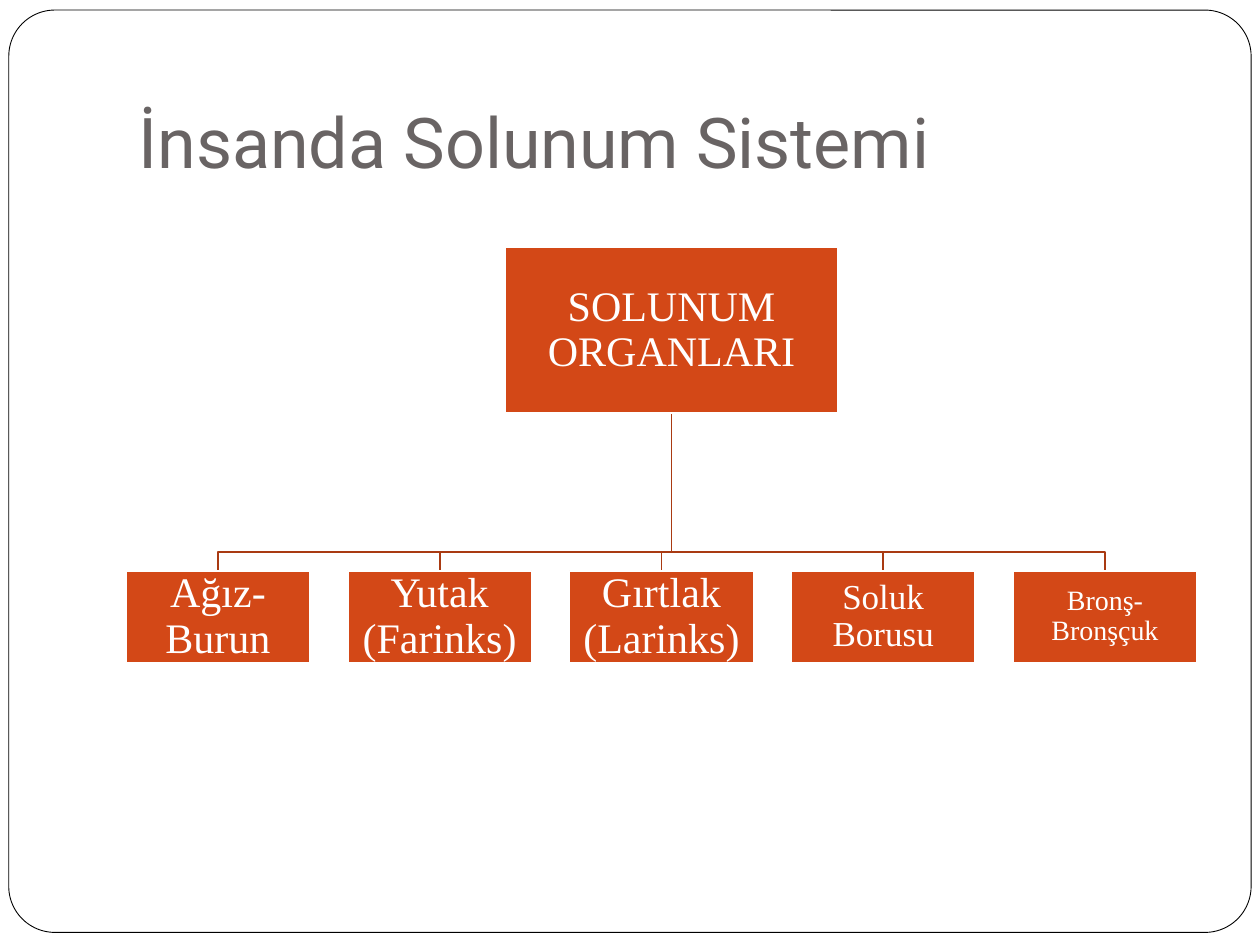
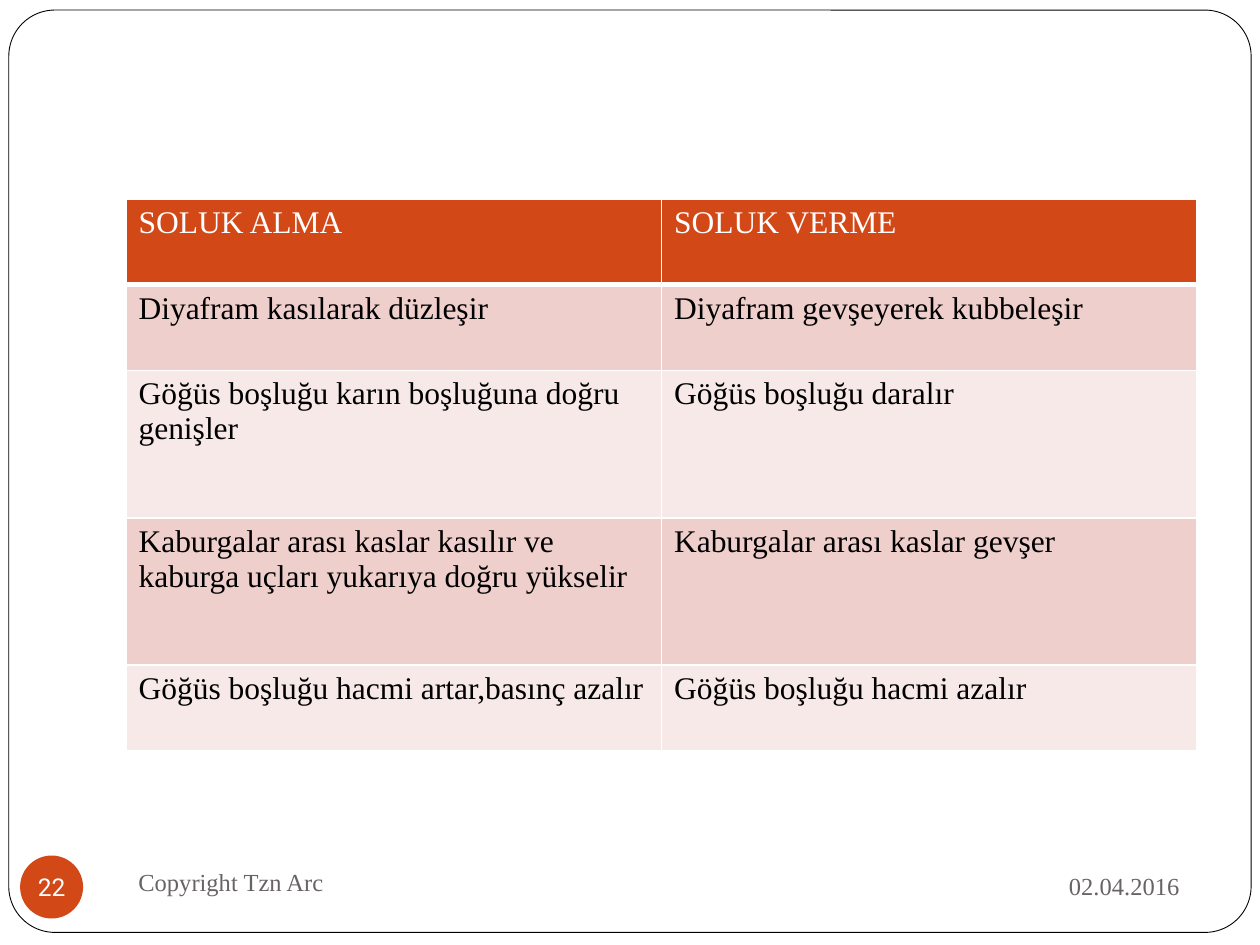
import pptx
import pptx.dml.color
import pptx.enum.shapes
import pptx.enum.text
import pptx.oxml
import pptx.oxml.ns
import pptx.util

Inches = pptx.util.Inches
Pt = pptx.util.Pt
RGBColor = pptx.dml.color.RGBColor
Shape = pptx.enum.shapes.MSO_SHAPE
Align = pptx.enum.text.PP_ALIGN
Anchor = pptx.enum.text.MSO_ANCHOR

ORANGE = RGBColor(0xD3, 0x48, 0x17)
RUST = RGBColor(0xA9, 0x3A, 0x12)
GRAY = RGBColor(0x69, 0x64, 0x64)
ROSE = RGBColor(0xEF, 0xCF, 0xCC)
PALE_ROSE = RGBColor(0xF7, 0xE9, 0xE8)
WHITE = RGBColor(0xFF, 0xFF, 0xFF)
BLACK = RGBColor(0, 0, 0)
SERIF = "Times New Roman"
SANS = "Roboto"


def write_text(frame, text, size=18, font=SERIF, color=WHITE, align=Align.LEFT,
               anchor=Anchor.MIDDLE, margins=(0.1, 0.05, 0.1, 0.05), spacing=1.0, wrap=True):
    frame.word_wrap = wrap
    frame.auto_size = pptx.enum.text.MSO_AUTO_SIZE.NONE
    frame.vertical_anchor = anchor
    frame.margin_left, frame.margin_top, frame.margin_right, frame.margin_bottom = map(Inches, margins)
    para = frame.paragraphs[0]
    para.alignment = align
    para.line_spacing = spacing
    span = para.add_run()
    span.text = text
    span.font.name = font
    span.font.size = Pt(size)
    span.font.color.rgb = color


def add_box(page, kind, left, top, width, height, fill=ORANGE, line=None, weight=1):
    box = page.shapes.add_shape(kind, Inches(left), Inches(top), Inches(width), Inches(height))
    box.shadow.inherit = False
    box.fill.solid()
    box.fill.fore_color.rgb = fill
    if line is None:
        box.line.fill.background()
    else:
        box.line.color.rgb = line
        box.line.width = Pt(weight)
    return box


deck = pptx.Presentation()
deck.slide_width = Inches(10)
deck.slide_height = Inches(7.5)
organ_page = deck.slides.add_slide(deck.slide_layouts[5])
breath_page = deck.slides.add_slide(deck.slide_layouts[6])

for page in (organ_page, breath_page):
    border = add_box(page, Shape.ROUNDED_RECTANGLE, 0.07, 0.08, 9.86, 7.32, WHITE, BLACK, 0.5)
    border.adjustments[0] = 0.05
    border.element.getparent().insert(2, border.element)

title = organ_page.shapes.title
title.left, title.top, title.width, title.height = map(Inches, (1, 0.3, 8.5, 1.25))
write_text(title.text_frame, "İnsanda Solunum Sistemi", size=40, font=SANS, color=GRAY,
           anchor=Anchor.BOTTOM, margins=(0.1, 0.05, 0.1, 0.1))

organs = [("Ağız-Burun", 24), ("Yutak (Farinks)", 24), ("Gırtlak (Larinks)", 24),
          ("Soluk Borusu", 20), ("Bronş-Bronşçuk", 16)]
organ_width, organ_height, organ_top, organ_step = 1.46, 0.73, 4.53, 1.76
root_left, root_top, root_width, root_height = 4.01, 1.96, 2.64, 1.32
root_center = root_left + root_width / 2
root_bottom = root_top + root_height
branch_top = 4.38

for index in reversed(range(len(organs))):
    organ_center = 1 + index * organ_step + organ_width / 2
    builder = organ_page.shapes.build_freeform(Inches(root_center), Inches(root_bottom))
    builder.add_line_segments(
        [(Inches(x), Inches(y)) for x, y in
         ((root_center, branch_top), (organ_center, branch_top), (organ_center, organ_top))],
        close=False)
    branch = builder.convert_to_shape()
    branch.shadow.inherit = False
    branch.fill.background()
    branch.line.color.rgb = RUST
    branch.line.width = Pt(1)

nodes = [("SOLUNUM ORGANLARI", 24, root_left, root_top, root_width, root_height)]
for index, (organ, size) in enumerate(organs):
    nodes.append((organ, size, 1 + index * organ_step, organ_top, organ_width, organ_height))
for label, size, left, top, width, height in nodes:
    node = add_box(organ_page, Shape.RECTANGLE, left, top, width, height, line=WHITE)
    inset = 0.02 if size == 24 else 0.01
    write_text(node.text_frame, label, size=size, align=Align.CENTER,
               margins=(inset,) * 4, spacing=0.9)

breath_rows = [
    ("SOLUK ALMA", "SOLUK VERME"),
    ("Diyafram kasılarak düzleşir", "Diyafram gevşeyerek kubbeleşir"),
    ("Göğüs boşluğu karın boşluğuna doğru genişler", "Göğüs boşluğu daralır"),
    ("Kaburgalar arası kaslar kasılır ve kaburga uçları yukarıya doğru yükselir",
     "Kaburgalar arası kaslar gevşer"),
    ("Göğüs boşluğu hacmi artar,basınç azalır", "Göğüs boşluğu hacmi azalır"),
]
row_heights = [0.68, 0.68, 1.17, 1.17, 0.68]
table = breath_page.shapes.add_table(len(breath_rows), 2, Inches(1), Inches(1.58),
                                     Inches(8.5), Inches(sum(row_heights))).table
for row_index, texts in enumerate(breath_rows):
    table.rows[row_index].height = Inches(row_heights[row_index])
    is_header = row_index == 0
    for column_index, text in enumerate(texts):
        cell = table.cell(row_index, column_index)
        cell.fill.solid()
        cell.fill.fore_color.rgb = ORANGE if is_header else ROSE if row_index % 2 else PALE_ROSE
        cell.vertical_anchor = Anchor.TOP
        span = cell.text_frame.paragraphs[0].add_run()
        span.text = text
        span.font.name = SERIF
        span.font.size = Pt(18)
        span.font.bold = False
        span.font.color.rgb = WHITE if is_header else BLACK
        properties = cell._tc.get_or_add_tcPr()
        for position, side in enumerate(("lnL", "lnR", "lnT", "lnB")):
            weight = Pt(3 if is_header and side == "lnB" else 1)
            properties.insert(position, pptx.oxml.parse_xml(
                f'<a:{side} {pptx.oxml.ns.nsdecls("a")} w="{weight}">'
                f'<a:solidFill><a:srgbClr val="{WHITE}"/></a:solidFill></a:{side}>'))

footers = [("02.04.2016", 6.75, 6.77, 2.71, 0.52, Align.RIGHT),
           ("Copyright Tzn Arc", 1, 6.75, 4.33, 0.5, Align.LEFT)]
for text, left, top, width, height, align in footers:
    footer = breath_page.shapes.add_textbox(Inches(left), Inches(top), Inches(width), Inches(height))
    write_text(footer.text_frame, text, size=14, color=GRAY, align=align)

badge = add_box(breath_page, Shape.OVAL, 0.16, 6.79, 0.5, 0.5)
write_text(badge.text_frame, "22", size=14, font=SANS, align=Align.CENTER,
           margins=(0, 0, 0, 0), wrap=False)

deck.save("out.pptx")
